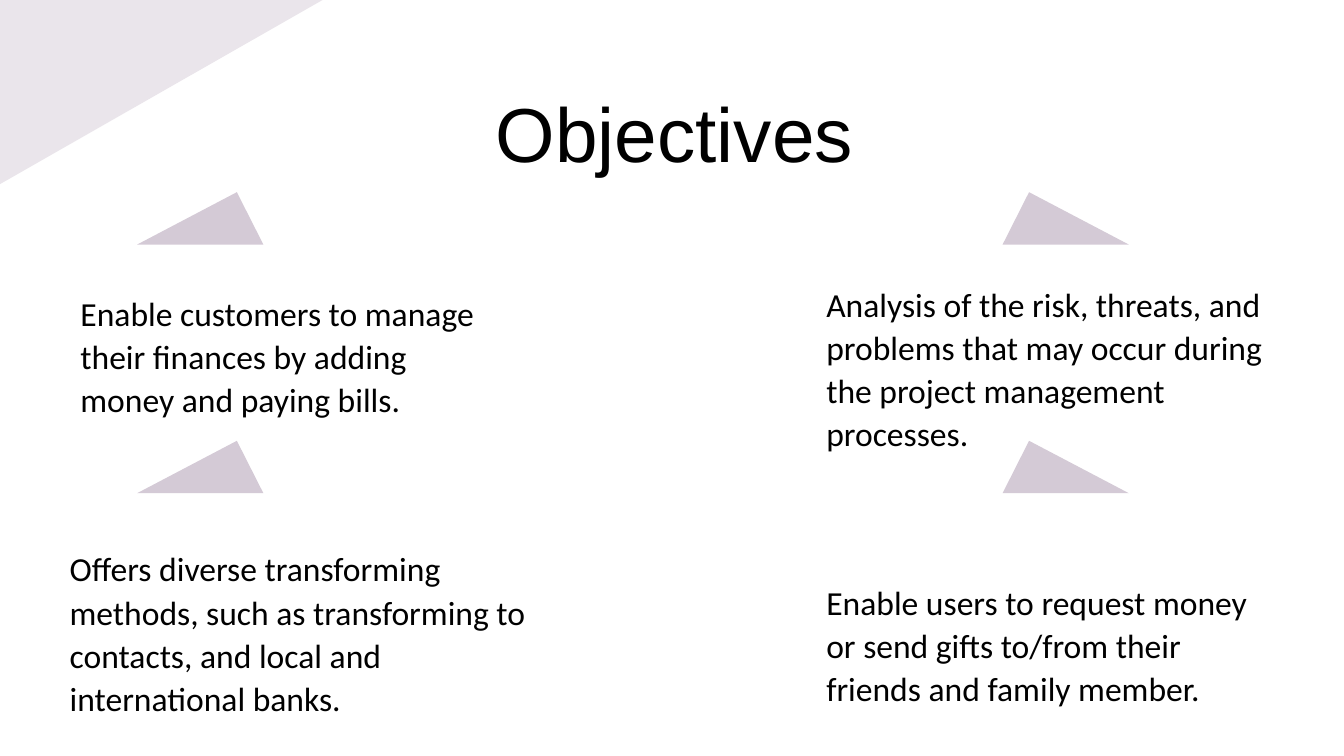
from dataclasses import dataclass

from pptx import Presentation
from pptx.dml.color import RGBColor
from pptx.enum.shapes import MSO_SHAPE
from pptx.enum.text import MSO_ANCHOR, PP_ALIGN
from pptx.slide import Slide
from pptx.util import Inches, Pt

BLACK = RGBColor(0x00, 0x00, 0x00)
PALE_MAUVE = RGBColor(0xEA, 0xE5, 0xEB)
MAUVE = RGBColor(0xD4, 0xCA, 0xD6)

COLUMNS, ROWS = 100, 56.25
CELL = Inches(0.1)
PEAK = 0.79

TITLE_FONT = {"name": "Arial", "size": Pt(41)}
TITLE_PARAGRAPH = {"alignment": PP_ALIGN.CENTER}
BODY_FONT = {"name": "Calibri", "size": Pt(18)}
BODY_PARAGRAPH = {"line_spacing": 1.07, "space_after": Pt(8)}

OBJECTIVES = [
    (4.2, 39.6, 37.9, "Offers diverse transforming methods, such as transforming to contacts, and local and international banks."),
    (5, 20.6, 32.8, "Enable customers to manage their finances by adding money and paying bills."),
    (60.5, 42.1, 34.6, "Enable users to request money or send gifts to/from their friends and family member."),
    (60.5, 19.9, 34.6, "Analysis of the risk, threats, and problems that may occur during the project management processes."),
]


def apply(target, values):
    for name, value in values.items():
        setattr(target, name, value)


def cells(*lengths):
    return [round(length * CELL) for length in lengths]


@dataclass
class SlideBuilder:
    slide: Slide
    inset: float = 1
    box_rows: float = 6.3

    def shape(self, kind, area, color):
        shape = self.slide.shapes.add_shape(kind, *cells(*area))
        shape.shadow.inherit = False
        shape.fill.solid()
        shape.fill.fore_color.rgb = color
        shape.line.fill.background()
        return shape

    def corner(self, width, height):
        triangle = self.shape(MSO_SHAPE.RIGHT_TRIANGLE, (0, 0, width, height), PALE_MAUVE)
        triangle.rotation = 180
        triangle._element.spPr.xfrm.set("flipH", "1")

    def marker(self, left, top, peak):
        triangle = self.shape(MSO_SHAPE.ISOSCELES_TRIANGLE, (left, top, 9.4, 3.9), MAUVE)
        triangle.adjustments[0] = peak

    def text(self, left, top, width, words, font, paragraph):
        box = self.slide.shapes.add_textbox(*cells(left, top, width, self.box_rows))
        margin, = cells(self.inset)
        apply(box.text_frame, {
            "word_wrap": True,
            "vertical_anchor": MSO_ANCHOR.TOP,
            "margin_left": margin,
            "margin_right": margin,
            "margin_top": margin,
            "margin_bottom": margin,
        })
        para = box.text_frame.paragraphs[0]
        apply(para, paragraph)
        span = para.add_run()
        span.text = words
        apply(span.font, font)
        span.font.color.rgb = BLACK


def main():
    deck = Presentation()
    apply(deck, dict(zip(("slide_width", "slide_height"), cells(COLUMNS, ROWS))))
    page = SlideBuilder(deck.slides.add_slide(deck.slide_layouts[6]))

    page.corner(24, 13.7)
    for top in (14.3, 32.8):
        for left, peak in ((10.2, PEAK), (74.6, 1 - PEAK)):
            page.marker(left, top, peak)
    page.text(5.9, 5.4, 88.6, "Objectives", TITLE_FONT, TITLE_PARAGRAPH)
    for left, top, width, words in OBJECTIVES:
        page.text(left, top, width, words, BODY_FONT, BODY_PARAGRAPH)

    deck.save("out.pptx")


if __name__ == "__main__":
    main()
